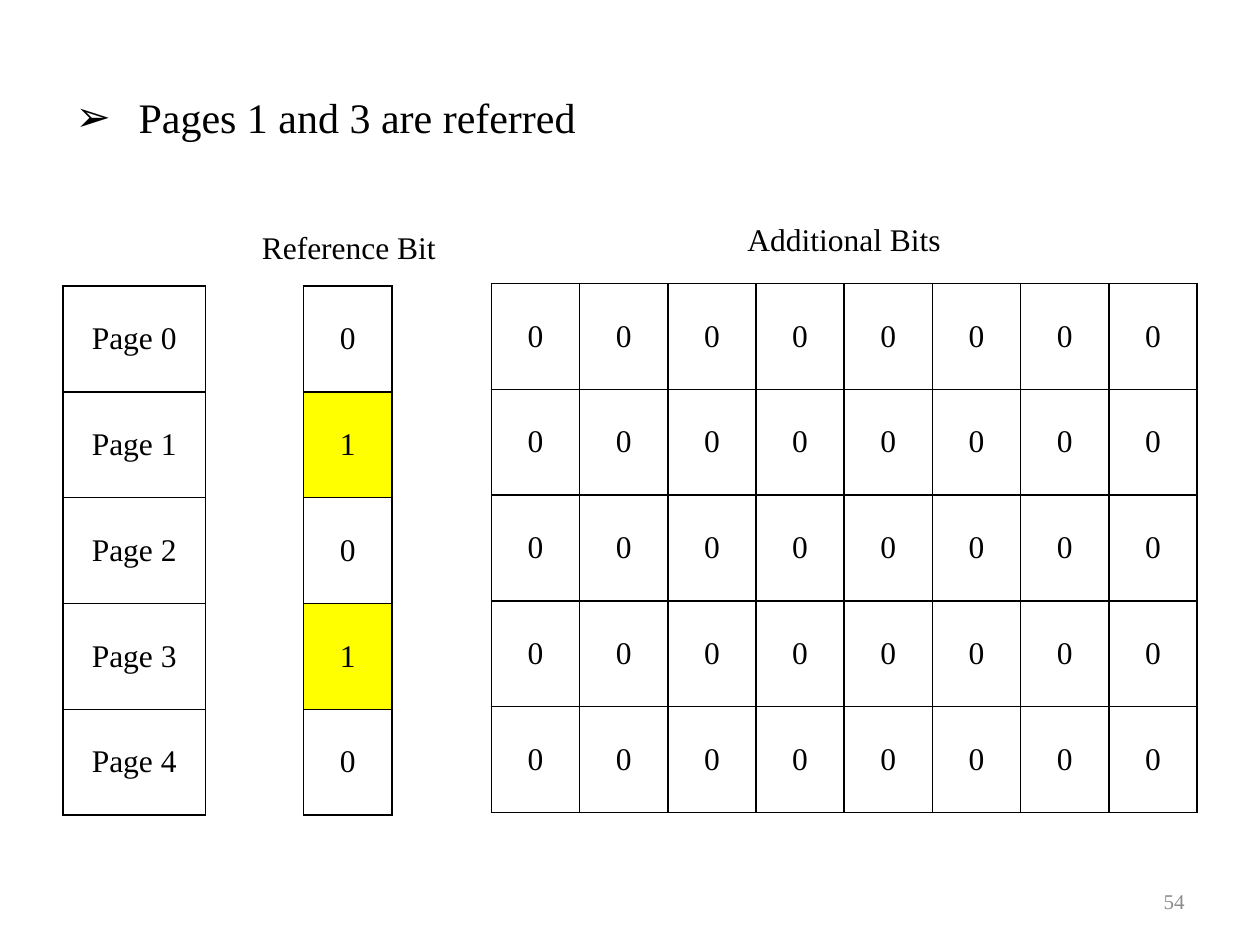
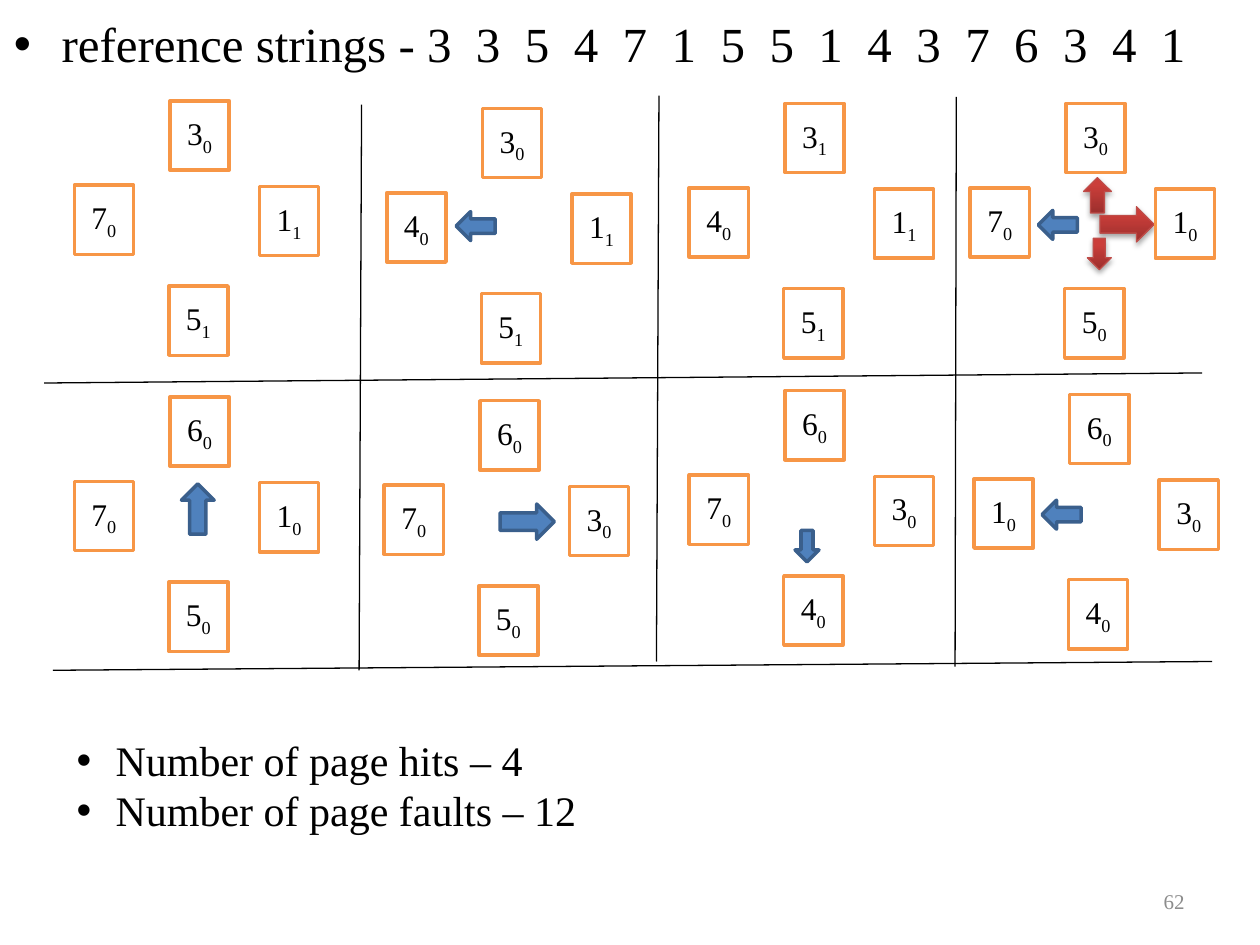
from lxml import etree
from pptx import Presentation
from pptx.dml.color import RGBColor
from pptx.enum.shapes import MSO_CONNECTOR, MSO_SHAPE
from pptx.enum.text import MSO_ANCHOR, MSO_AUTO_SIZE, PP_ALIGN
from pptx.oxml import parse_xml
from pptx.oxml.ns import nsdecls, qn
from pptx.util import Pt

PX = 9144
FACE = "Times New Roman"

BLACK = RGBColor(0, 0, 0)
WHITE = RGBColor(255, 255, 255)
GREY = RGBColor(0x8C, 0x8C, 0x8C)
YELLOW = RGBColor(255, 255, 0)
ORANGE = RGBColor(0xF7, 0x96, 0x46)
BLUE = RGBColor(0x4F, 0x81, 0xBD)
NAVY = RGBColor(0x3A, 0x5F, 0x8C)
RED = RGBColor(0xCB, 0x3E, 0x3A)
MAROON = RGBColor(0x9C, 0x2F, 0x2D)
BRICK = RGBColor(0xBF, 0x4C, 0x48)

LEFT, CENTER, RIGHT = PP_ALIGN.LEFT, PP_ALIGN.CENTER, PP_ALIGN.RIGHT
TOP, MIDDLE = MSO_ANCHOR.TOP, MSO_ANCHOR.MIDDLE
NO_FIT = MSO_AUTO_SIZE.NONE
STRAIGHT = MSO_CONNECTOR.STRAIGHT
RECT = MSO_SHAPE.RECTANGLE
UP_ARROW = MSO_SHAPE.UP_ARROW
DOWN_ARROW = MSO_SHAPE.DOWN_ARROW
LEFT_ARROW = MSO_SHAPE.LEFT_ARROW
RIGHT_ARROW = MSO_SHAPE.RIGHT_ARROW

ROW_H = 84
BOX_W, BOX_H = 47, 55
SEATS = [(0, 0), (-76, 67), (71, 68), (-1, 147)]

CLOCKS = [
    (135, 80, "30 70 11 51"),
    (383, 86, "30 40 11 51"),
    (623, 82, "31 40 11 51"),
    (846, 82, "30 70 10 50"),
    (135, 315, "60 70 10 50"),
    (381, 318, "60 70 30 50"),
    (623, 310, "60 70 30 40"),
    (849, 313, "60 10 30 40"),
]
RULES = [
    (287, 83, 285, 532),
    (523, 76, 521, 525),
    (759, 77, 758, 529),
    (35, 304, 954, 296),
    (42, 532, 962, 525),
]
RED_HANDS = [
    (UP_ARROW, 860, 141, 22, 28),
    (RIGHT_ARROW, 873, 164, 43, 28),
    (DOWN_ARROW, 863, 189, 19, 25),
]
BLUE_HANDS = [
    (LEFT_ARROW, 824, 167, 31, 23),
    (LEFT_ARROW, 362, 168, 31, 23),
    (UP_ARROW, 144, 384, 26, 40),
    (RIGHT_ARROW, 397, 400, 43, 28),
    (DOWN_ARROW, 631, 421, 19, 25),
    (LEFT_ARROW, 827, 397, 31, 23),
]


def scale(*sizes):
    return [size * PX for size in sizes]


def style(para, size, color=BLACK, align=LEFT):
    para.alignment = align
    for run in para.runs:
        run.font.name = FACE
        run.font.size = Pt(size)
        run.font.color.rgb = color


def bullet(para, mark, indent):
    props = para._p.get_or_add_pPr()
    props.set("marL", str(indent * PX))
    props.set("indent", str(-indent * PX))
    etree.SubElement(props, qn("a:buFont")).set("typeface", "Arial")
    etree.SubElement(props, qn("a:buChar")).set("char", mark)
    para.space_before = Pt(0)


def place(holder, box, text, size, mark, indent, anchor):
    holder.left, holder.top, holder.width, holder.height = scale(*box)
    frame = holder.text_frame
    frame.text = text
    frame.auto_size = NO_FIT
    frame.vertical_anchor = anchor
    para = frame.paragraphs[0]
    bullet(para, mark, indent)
    style(para, size)


def label(slide, box, text, size, color=BLACK, align=LEFT, anchor=TOP):
    frame = slide.shapes.add_textbox(*scale(*box)).text_frame
    frame.word_wrap = True
    frame.vertical_anchor = anchor
    frame.text = text
    for para in frame.paragraphs:
        style(para, size, color, align)
    return frame


def footer(slide, number):
    label(slide, (717, 695, 233, 40), number, 12, GREY, RIGHT, MIDDLE)


def border(cell):
    props = cell._tc.get_or_add_tcPr()
    for side in ("lnL", "lnR", "lnT", "lnB"):
        props.append(parse_xml(
            f'<a:{side} {nsdecls("a")} w="12700"><a:solidFill>'
            f'<a:srgbClr val="{BLACK}"/></a:solidFill></a:{side}>'))


def grid(slide, x, y, col_w, rows):
    count = len(rows[0])
    size = scale(x, y, col_w * count, ROW_H * len(rows))
    table = slide.shapes.add_table(len(rows), count, *size).table
    table.first_row = table.horz_banding = False
    for col in table.columns:
        col.width = col_w * PX
    for r, row in enumerate(rows):
        table.rows[r].height = ROW_H * PX
        for c, text in enumerate(row):
            cell = table.cell(r, c)
            cell.text = text
            cell.vertical_anchor = MIDDLE
            style(cell.text_frame.paragraphs[0], 18, align=CENTER)
            border(cell)
            if text == "1":
                cell.fill.solid()
                cell.fill.fore_color.rgb = YELLOW
            else:
                cell.fill.background()


def block(slide, kind, box, fill, edge, width=2):
    shape = slide.shapes.add_shape(kind, *scale(*box))
    shape.shadow.inherit = False
    shape.fill.solid()
    shape.fill.fore_color.rgb = fill
    shape.line.color.rgb = edge
    shape.line.width = Pt(width)
    return shape


def red_hand(slide, kind, box):
    shape = block(slide, kind, box, RED, BRICK, 0.75)
    shape.fill.gradient()
    shape.fill.gradient_angle = 90
    stops = shape.fill.gradient_stops
    for stop, color, spot in zip(stops, (MAROON, RED), (0, 0.8)):
        stop.color.rgb = color
        stop.position = spot
    effects = shape._element.spPr.find(qn("a:effectLst"))
    effects.append(parse_xml(
        f'<a:outerShdw {nsdecls("a")} blurRad="39370" dist="22860" '
        f'dir="5400000" rotWithShape="0"><a:srgbClr val="{BLACK}">'
        '<a:alpha val="35000"/></a:srgbClr></a:outerShdw>'))


def frame_box(slide, x, y, page, bit):
    shape = block(slide, RECT, (x, y, BOX_W, BOX_H), WHITE, ORANGE)
    shape.text_frame.vertical_anchor = MIDDLE
    para = shape.text_frame.paragraphs[0]
    para.text = page
    sub = para.add_run()
    sub.text = bit
    style(para, 18, align=CENTER)
    sub._r.get_or_add_rPr().set("baseline", "-25000")


def clock(slide, x, y, pages):
    for (dx, dy), (page, bit) in zip(SEATS, pages.split()):
        frame_box(slide, x + dx, y + dy, page, bit)


def rule(slide, ends):
    line = slide.shapes.add_connector(STRAIGHT, *scale(*ends))
    line.line.color.rgb = BLACK
    line.line.width = Pt(0.75)
    etree.SubElement(line._element.spPr, qn("a:effectLst"))


def bits_slide(deck):
    slide = deck.slides.add_slide(deck.slide_layouts[5])
    place(slide.shapes.title, (50, 30, 900, 125),
          "Pages 1 and 3 are referred", 24, "➢", 50, MIDDLE)
    grid(slide, 390, 225, 70, [["0"] * 8] * 5)
    grid(slide, 241, 227, 70, [[bit] for bit in "01010"])
    grid(slide, 50, 227, 113, [[f"Page {n}"] for n in range(5)])
    label(slide, (198, 176, 189, 40), "Reference Bit", 18)
    label(slide, (390, 170, 560, 40), "Additional Bits", 18, align=CENTER)
    footer(slide, "54")


def clock_slide(deck):
    slide = deck.slides.add_slide(deck.slide_layouts[1])
    title = slide.shapes.title._element
    title.getparent().remove(title)
    refs = "  ".join("3354715514376341")
    place(slide.placeholders[1], (1, 6, 998, 744),
          f"reference strings - {refs}", 28, "•", 38, TOP)
    for ends in RULES:
        rule(slide, ends)
    for kind, *box in RED_HANDS:
        red_hand(slide, kind, box)
    for x, y, pages in CLOCKS:
        clock(slide, x, y, pages)
    for kind, *box in BLUE_HANDS:
        block(slide, kind, box, BLUE, NAVY)
    totals = label(slide, (51, 578, 837, 91),
                   "Number of page hits – 4\nNumber of page faults – 12", 24)
    for para in totals.paragraphs:
        bullet(para, "•", 31)
    footer(slide, "62")


def main():
    deck = Presentation()
    deck.slide_width, deck.slide_height = scale(1000, 750)
    bits_slide(deck)
    clock_slide(deck)
    deck.save("out.pptx")


if __name__ == "__main__":
    main()
